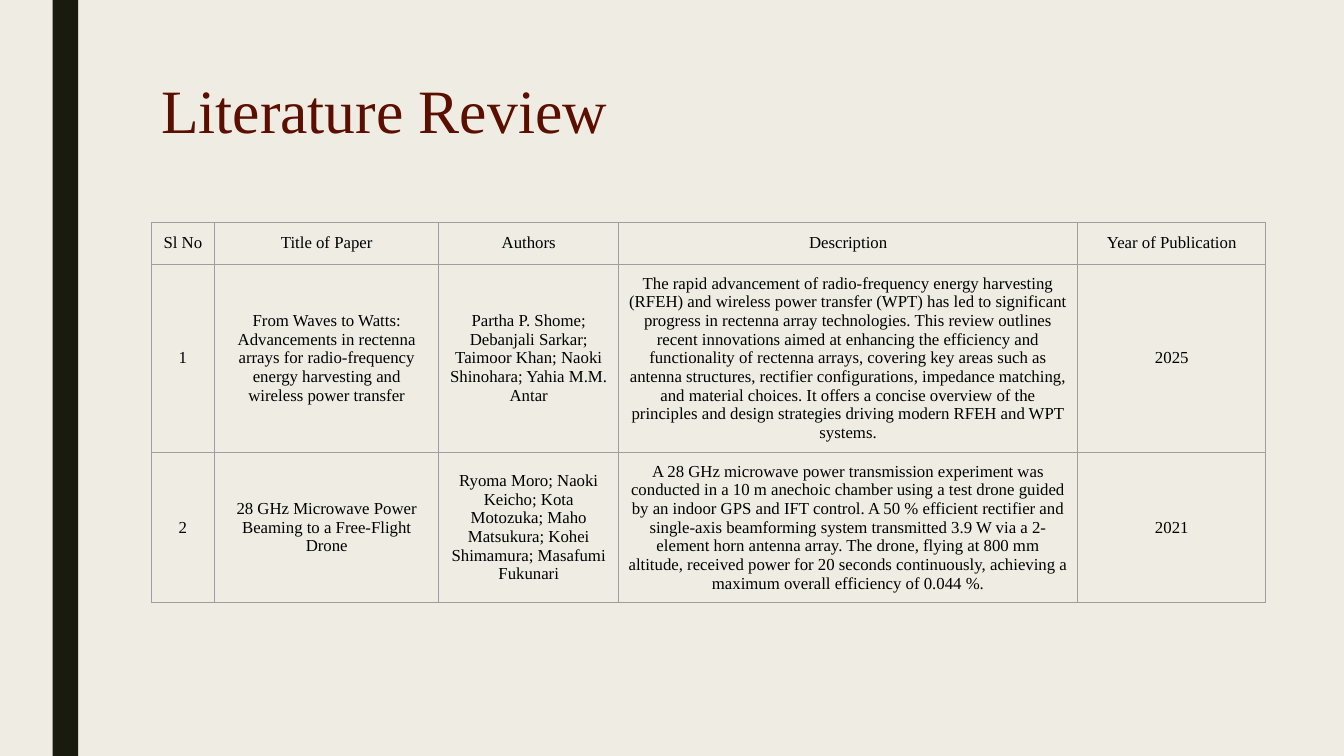
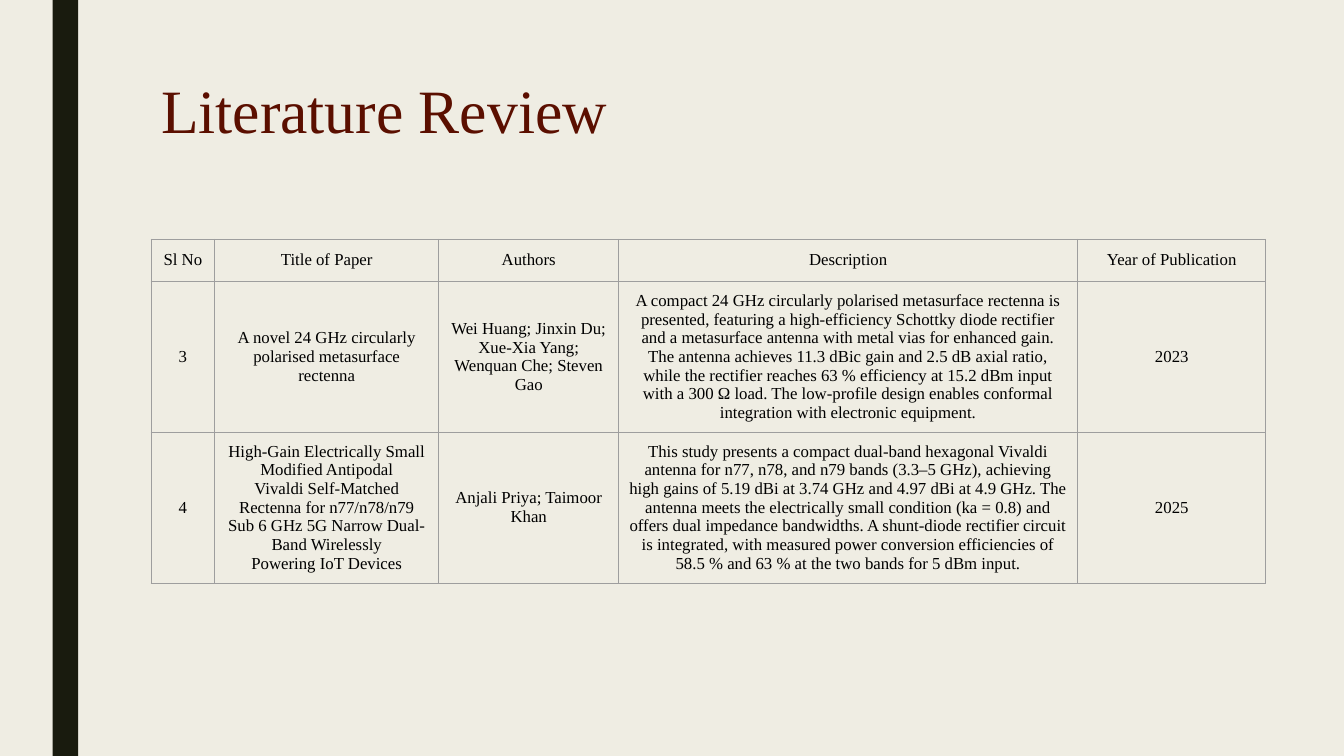
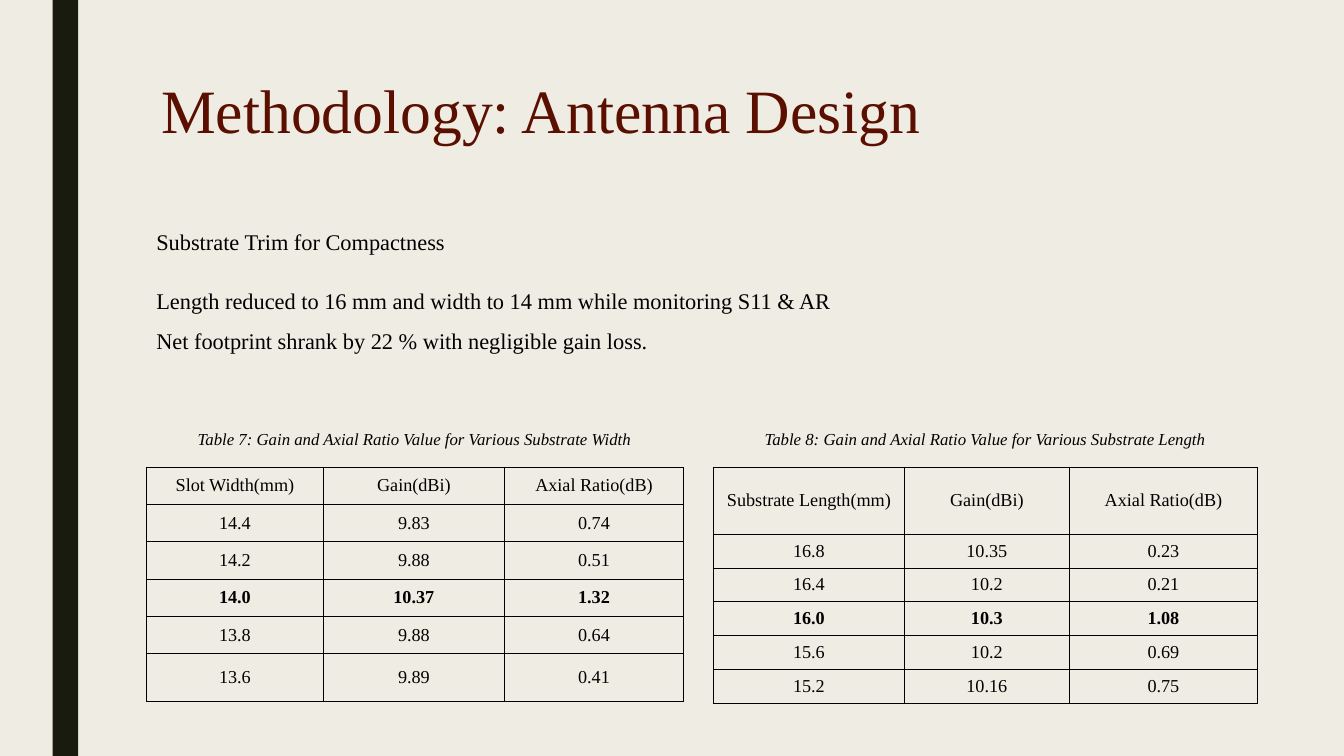
"""Build three slides on rectenna literature and antenna design."""
from lxml.etree import SubElement
from pptx import Presentation
from pptx.dml.color import RGBColor
from pptx.enum.shapes import MSO_SHAPE
from pptx.enum.text import MSO_ANCHOR, MSO_AUTO_SIZE, PP_ALIGN
from pptx.oxml.ns import qn
from pptx.util import Cm, Pt

CREAM = RGBColor(0xEF, 0xED, 0xE3)
OLIVE = RGBColor(0x19, 0x1B, 0x0E)
MAROON = RGBColor(0x5B, 0x0F, 0x00)
BLACK = RGBColor(0x00, 0x00, 0x00)
GREY = RGBColor(0x9E, 0x9E, 0x9E)
FONT = "Times New Roman"


def add_text(slide, text, box, size, inset, color=BLACK, spacing=1.07, before=8,
             align=PP_ALIGN.LEFT, italic=False, grow=True):
    shape = slide.shapes.add_textbox(*[Cm(length) for length in box])
    frame = shape.text_frame
    frame.text = text
    frame.word_wrap = True
    frame.auto_size = MSO_AUTO_SIZE.SHAPE_TO_FIT_TEXT if grow else MSO_AUTO_SIZE.NONE
    frame.margin_left = frame.margin_right = Cm(inset[0])
    frame.margin_top = frame.margin_bottom = Cm(inset[1])
    for paragraph in frame.paragraphs:
        paragraph.alignment = align
        paragraph.line_spacing = spacing
        paragraph.space_before = Pt(before)
        font = paragraph.runs[0].font
        font.name, font.size, font.italic = FONT, Pt(size), italic
        font.color.rgb = color


def add_grid(slide, rows, left, top, widths, heights, size, inset, border, border_width,
             bold_row=None):
    table = slide.shapes.add_table(len(rows), len(widths), Cm(left), Cm(top),
                                   Cm(sum(widths)), Cm(sum(heights))).table
    table.first_row = table.horz_banding = False
    for column, width in zip(table.columns, widths):
        column.width = Cm(width)
    for row_index, (row, height, texts) in enumerate(zip(table.rows, heights, rows)):
        row.height = Cm(height)
        for cell, text in zip(row.cells, texts):
            cell.text_frame.text = text
            cell.vertical_anchor = MSO_ANCHOR.MIDDLE
            cell.margin_left = cell.margin_right = Cm(inset[0])
            cell.margin_top = cell.margin_bottom = Cm(inset[1])
            for paragraph in cell.text_frame.paragraphs:
                paragraph.alignment = PP_ALIGN.CENTER
                font = paragraph.runs[0].font
                font.name, font.size, font.bold = FONT, Pt(size), row_index == bold_row
                font.color.rgb = BLACK
            properties = cell._tc.get_or_add_tcPr()
            for side in ("a:lnL", "a:lnR", "a:lnT", "a:lnB"):
                line = SubElement(properties, qn(side), w=str(Pt(border_width)))
                fill = SubElement(line, qn("a:solidFill"))
                SubElement(fill, qn("a:srgbClr"), val=str(border))
            cell.fill.background()


presentation = Presentation()
presentation.slide_width = Cm(33.87)
presentation.slide_height = Cm(19.05)
background = presentation.slide_master.background.fill
background.solid()
background.fore_color.rgb = CREAM

slides = []
for title in ("Literature Review", "Literature Review", "Methodology: Antenna Design"):
    slide = presentation.slides.add_slide(presentation.slide_layouts[6])
    band = slide.shapes.add_shape(MSO_SHAPE.RECTANGLE, Cm(1.33), 0, Cm(0.64),
                                  presentation.slide_height)
    band.shadow.inherit = False
    band.fill.solid()
    band.fill.fore_color.rgb = OLIVE
    band.line.fill.background()
    add_text(slide, title, (3.81, 1.9, 26.67, 4.11), 44, (0.25, 0.13), MAROON,
             spacing=0.89, before=0, grow=False)
    slides.append(slide)

review_header = ("Sl No", "Title of Paper", "Authors", "Description", "Year of Publication")
reviews = [
    (5.6, (1.06, 4.73, 3.8), [
        ("1",
         "From Waves to Watts: Advancements in rectenna arrays for radio-frequency energy "
         "harvesting and wireless power transfer",
         "Partha P. Shome; Debanjali Sarkar; Taimoor Khan; Naoki Shinohara; Yahia M.M. Antar",
         "The rapid advancement of radio-frequency energy harvesting (RFEH) and wireless power "
         "transfer (WPT) has led to significant progress in rectenna array technologies. This "
         "review outlines recent innovations aimed at enhancing the efficiency and functionality "
         "of rectenna arrays, covering key areas such as antenna structures, rectifier "
         "configurations, impedance matching, and material choices. It offers a concise overview "
         "of the principles and design strategies driving modern RFEH and WPT systems.",
         "2025"),
        ("2",
         "28 GHz Microwave Power Beaming to a Free-Flight Drone",
         "Ryoma Moro; Naoki Keicho; Kota Motozuka; Maho Matsukura; Kohei Shimamura; "
         "Masafumi Fukunari",
         "A 28 GHz microwave power transmission experiment was conducted in a 10 m anechoic "
         "chamber using a test drone guided by an indoor GPS and IFT control. A 50 % efficient "
         "rectifier and single-axis beamforming system transmitted 3.9 W via a 2-element horn "
         "antenna array. The drone, flying at 800 mm altitude, received power for 20 seconds "
         "continuously, achieving a maximum overall efficiency of 0.044 %.",
         "2021"),
    ]),
    (6.03, (1.06, 3.8, 3.8), [
        ("3",
         "A novel 24 GHz circularly polarised metasurface rectenna",
         "Wei Huang; Jinxin Du; Xue-Xia Yang; Wenquan Che; Steven Gao",
         "A compact 24 GHz circularly polarised metasurface rectenna is presented, featuring a "
         "high-efficiency Schottky diode rectifier and a metasurface antenna with metal vias for "
         "enhanced gain. The antenna achieves 11.3 dBic gain and 2.5 dB axial ratio, while the "
         "rectifier reaches 63 % efficiency at 15.2 dBm input with a 300 Ω load. The low-profile "
         "design enables conformal integration with electronic equipment.",
         "2023"),
        ("4",
         "High-Gain Electrically Small Modified Antipodal\n"
         "Vivaldi Self-Matched Rectenna for n77/n78/n79\n"
         "Sub 6 GHz 5G Narrow Dual-Band Wirelessly\n"
         "Powering IoT Devices",
         "Anjali Priya; Taimoor Khan",
         "This study presents a compact dual-band hexagonal Vivaldi antenna for n77, n78, and "
         "n79 bands (3.3–5 GHz), achieving high gains of 5.19 dBi at 3.74 GHz and 4.97 dBi at "
         "4.9 GHz. The antenna meets the electrically small condition (ka = 0.8) and offers dual "
         "impedance bandwidths. A shunt-diode rectifier circuit is integrated, with measured "
         "power conversion efficiencies of 58.5 % and 63 % at the two bands for 5 dBm input.",
         "2025"),
    ]),
]
for slide, (top, heights, papers) in zip(slides, reviews):
    add_grid(slide, [review_header] + papers, 3.81, top, (1.6, 5.65, 4.53, 11.57, 4.74),
             heights, 12, (0.25, 0.25), GREY, 0.75)

design_slide = slides[2]
add_text(design_slide, "Length reduced to 16 mm and width to 14 mm while monitoring S11 & AR\n"
         "Net footprint shrank by 22 % with negligible gain loss.",
         (3.81, 7.06, 26.5, 1.96), 16, (0.13, 0.13))
add_text(design_slide, "Substrate Trim for Compactness", (3.81, 5.56, 17.95, 0.95), 16,
         (0.13, 0.13))

measurements = [
    ("Table 8: Gain and Axial Ratio Value for Various Substrate Length", 18.06, 17.98,
     (4.81, 4.16, 4.74), [1.69] + [0.85] * 5,
     [("Substrate Length(mm)", "Gain(dBi)", "Axial Ratio(dB)"),
      ("16.8", "10.35", "0.23"), ("16.4", "10.2", "0.21"), ("16.0", "10.3", "1.08"),
      ("15.6", "10.2", "0.69"), ("15.2", "10.16", "0.75")]),
    ("Table 7: Gain and Axial Ratio Value for Various Substrate Width", 3.68, 3.69,
     (4.46, 4.56, 4.52), [0.94] * 5 + [1.21],
     [("Slot Width(mm)", "Gain(dBi)", "Axial Ratio(dB)"),
      ("14.4", "9.83", "0.74"), ("14.2", "9.88", "0.51"), ("14.0", "10.37", "1.32"),
      ("13.8", "9.88", "0.64"), ("13.6", "9.89", "0.41")]),
]
for caption, caption_left, table_left, widths, heights, rows in measurements:
    add_grid(design_slide, rows, table_left, 11.77, widths, heights, 13, (0.18, 0), BLACK, 0.5,
             bold_row=3)
    add_text(design_slide, caption, (caption_left, 10.52, 13.54, 1.02), 12, (0.25, 0.25),
             align=PP_ALIGN.CENTER, italic=True)

presentation.save("out.pptx")
